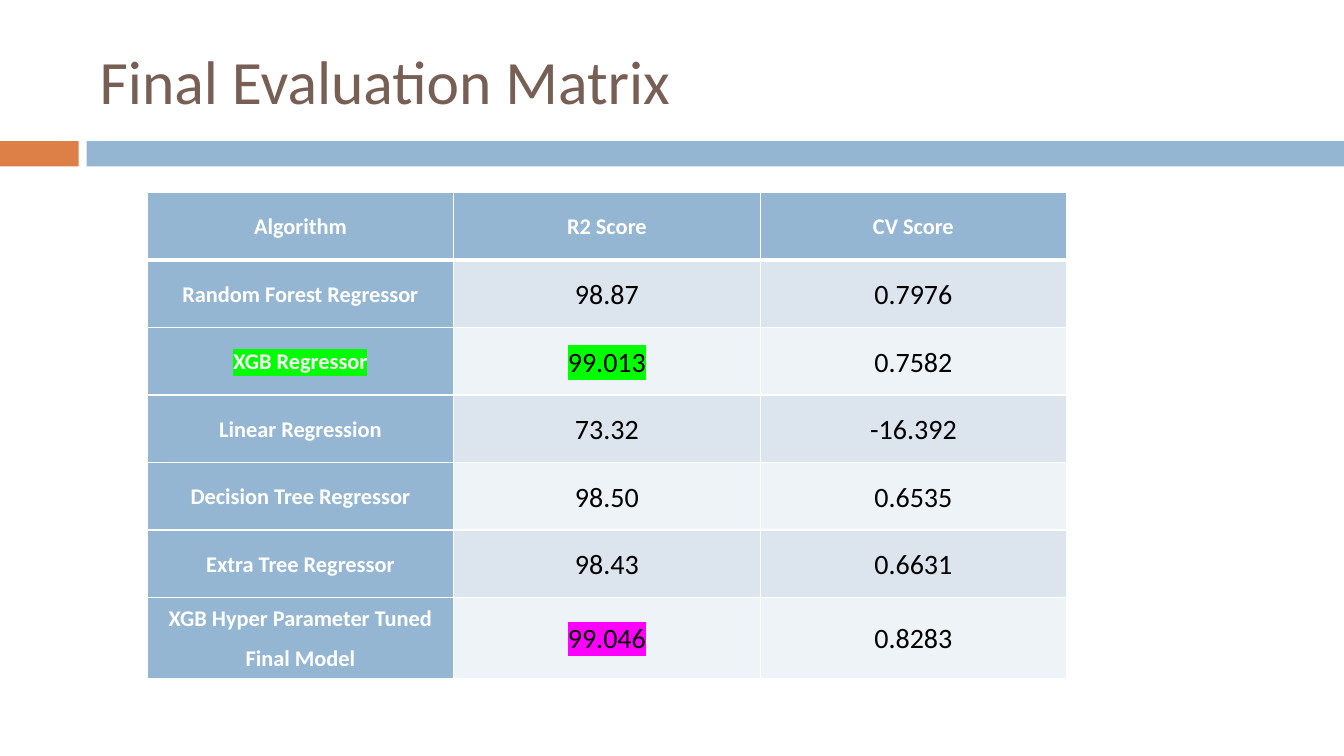
from dataclasses import dataclass

from lxml import etree
from pptx import Presentation
from pptx.dml.color import RGBColor
from pptx.enum.shapes import MSO_SHAPE
from pptx.enum.text import MSO_ANCHOR, PP_ALIGN
from pptx.oxml.ns import qn
from pptx.util import Inches, Pt

RECTANGLE = MSO_SHAPE.RECTANGLE
MIDDLE = MSO_ANCHOR.MIDDLE
LEFT, CENTER = PP_ALIGN.LEFT, PP_ALIGN.CENTER


@dataclass(frozen=True)
class Theme:
    font: str = "Calibri"
    title: str = "775F55"
    orange: str = "DD8047"
    blue: str = "94B6D2"
    odd_row: str = "DCE5EE"
    even_row: str = "EEF3F7"
    white: str = "FFFFFF"
    black: str = "000000"
    green: str = "00FF00"
    magenta: str = "FF00FF"
    title_size: int = 44
    label_size: int = 16
    score_size: int = 20


THEME = Theme()

TITLE = "Final Evaluation Matrix"
SCORES = [
    ("Algorithm", "R2 Score", "CV Score"),
    ("Random Forest Regressor", "98.87", "0.7976"),
    ("XGB Regressor", "99.013", "0.7582"),
    ("Linear Regression", "73.32", "-16.392"),
    ("Decision Tree Regressor", "98.50", "0.6535"),
    ("Extra Tree Regressor", "98.43", "0.6631"),
    ("XGB Hyper Parameter Tuned\nFinal Model", "99.046", "0.8283"),
]
HIGHLIGHTS = {(2, 0): THEME.green, (2, 1): THEME.green, (6, 1): THEME.magenta}

SLIDE_W, SLIDE_H = 13.33, 7.5
BAND_TOP, BAND_H = 1.4, 0.25
BAND_SPLIT, BAND_GAP = 0.78, 0.08
TITLE_BOX = (0.89, 0.25, 11.89, 1.08)
TABLE_LEFT, TABLE_TOP = 1.46, 1.91
COLUMN_W, ROW_H, LAST_ROW_H = 3.04, 0.67, 0.8
CELL_INSET = 0.04
RULE, HEADER_RULE = 1, 3


def rgb(color):
    return RGBColor.from_string(color)


def write(frame, text, *, size, color, bold=False, align=LEFT,
          spacing=None, after=None, highlight=None):
    for number, line in enumerate(text.split("\n")):
        paragraph = frame.add_paragraph() if number else frame.paragraphs[0]
        paragraph.alignment = align
        paragraph.line_spacing = spacing
        paragraph.space_after = None if after is None else Pt(after)
        run = paragraph.add_run()
        run.text = line
        font = run.font
        font.size, font.bold = Pt(size), bold
        font.color.rgb = rgb(color)
        if highlight:
            marker = etree.Element(qn("a:highlight"))
            etree.SubElement(marker, qn("a:srgbClr"), val=highlight)
            run._r.rPr.find(qn("a:solidFill")).addnext(marker)
        font.name = THEME.font


def add_band(slide, left, width, color):
    band = slide.shapes.add_shape(
        RECTANGLE, *map(Inches, (left, BAND_TOP, width, BAND_H)))
    band.shadow.inherit = False
    band.fill.solid()
    band.fill.fore_color.rgb = rgb(color)
    band.line.fill.background()


def rule_cell(cell, top, bottom):
    """Draw white borders; they must precede the fill in the cell's XML."""
    properties = cell._tc.get_or_add_tcPr()
    widths = {"lnL": RULE, "lnR": RULE, "lnT": top, "lnB": bottom}
    for position, (side, width) in enumerate(widths.items()):
        line = etree.Element(qn(f"a:{side}"), w=str(Pt(width)))
        fill = etree.SubElement(line, qn("a:solidFill"))
        etree.SubElement(fill, qn("a:srgbClr"), val=THEME.white)
        properties.insert(position, line)


def add_scores(slide):
    rows, columns = len(SCORES), len(SCORES[0])
    height = ROW_H * (rows - 1) + LAST_ROW_H
    table = slide.shapes.add_table(rows, columns, *map(
        Inches, (TABLE_LEFT, TABLE_TOP, COLUMN_W * columns, height))).table
    table.first_col = True
    for column in table.columns:
        column.width = Inches(COLUMN_W)
    for r, values in enumerate(SCORES):
        table.rows[r].height = Inches(LAST_ROW_H if r == rows - 1 else ROW_H)
        for c, value in enumerate(values):
            cell = table.cell(r, c)
            is_label = r == 0 or c == 0
            stripe = THEME.odd_row if r % 2 else THEME.even_row
            cell.fill.solid()
            cell.fill.fore_color.rgb = rgb(THEME.blue if is_label else stripe)
            cell.vertical_anchor = MIDDLE
            cell.margin_left = cell.margin_right = Inches(CELL_INSET)
            cell.margin_top = cell.margin_bottom = 0
            rule_cell(cell, top=HEADER_RULE if r == 1 else RULE,
                      bottom=HEADER_RULE if r == 0 else RULE)
            write(cell.text_frame, value,
                  size=THEME.label_size if is_label else THEME.score_size,
                  color=THEME.white if is_label else THEME.black,
                  bold=is_label, align=CENTER, spacing=1.07, after=8,
                  highlight=HIGHLIGHTS.get((r, c)))


def main():
    deck = Presentation()
    deck.slide_width, deck.slide_height = Inches(SLIDE_W), Inches(SLIDE_H)
    slide = deck.slides.add_slide(deck.slide_layouts[6])

    blue_left = BAND_SPLIT + BAND_GAP
    add_band(slide, 0, BAND_SPLIT, THEME.orange)
    add_band(slide, blue_left, SLIDE_W - blue_left, THEME.blue)

    heading = slide.shapes.add_textbox(*map(Inches, TITLE_BOX)).text_frame
    heading.word_wrap = True
    heading.vertical_anchor = MIDDLE
    write(heading, TITLE, size=THEME.title_size, color=THEME.title)

    add_scores(slide)
    deck.save("out.pptx")


if __name__ == "__main__":
    main()
